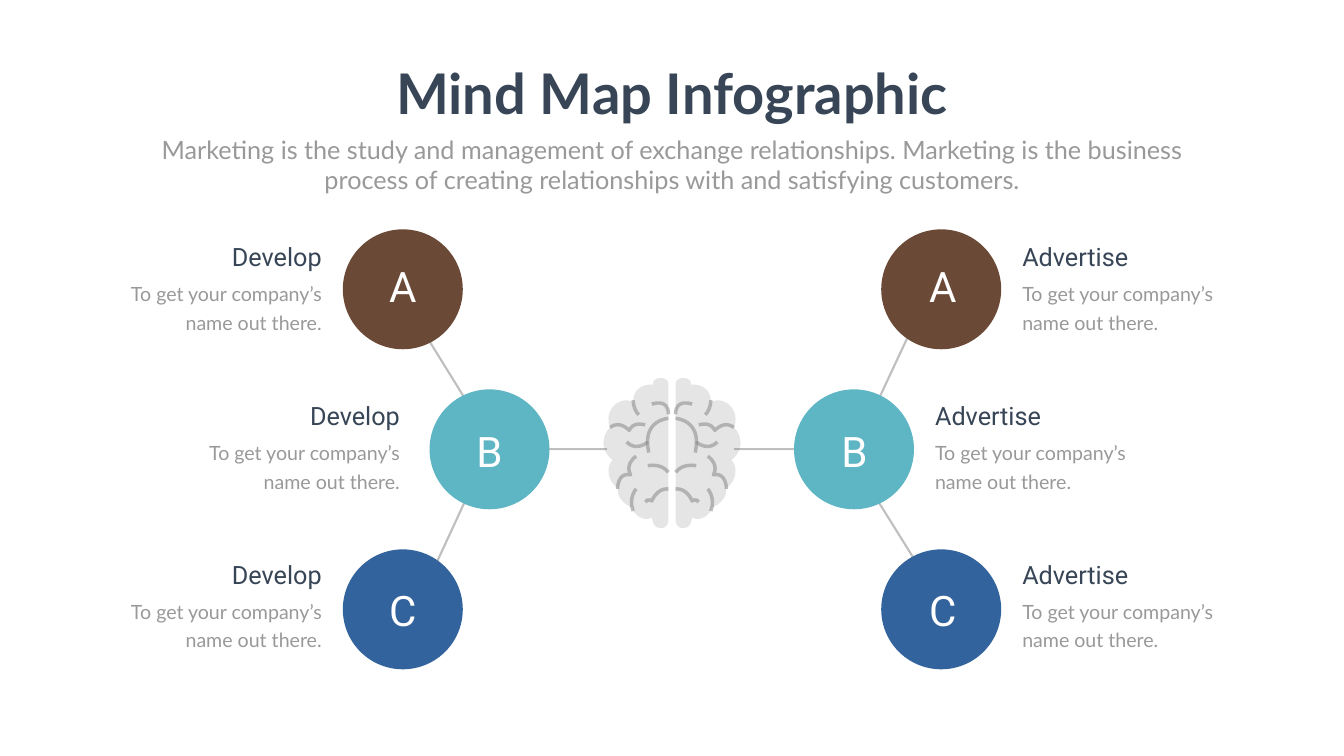
from dataclasses import dataclass

from lxml import etree
from pptx import Presentation
from pptx.dml.color import RGBColor
from pptx.enum.shapes import MSO_CONNECTOR, MSO_SHAPE
from pptx.enum.text import MSO_AUTO_SIZE, PP_ALIGN
from pptx.oxml.ns import qn
from pptx.util import Inches, Pt

STRAIGHT = MSO_CONNECTOR.STRAIGHT
OVAL = MSO_SHAPE.OVAL
LEFT, CENTER, RIGHT = PP_ALIGN.LEFT, PP_ALIGN.CENTER, PP_ALIGN.RIGHT
GROW = MSO_AUTO_SIZE.SHAPE_TO_FIT_TEXT

WIDTH, HEIGHT = 26.66, 15
AXIS = WIDTH / 2
BRAIN_TOP = HEIGHT / 2
BRAIN_UNIT = 0.01
DIAMETER = 2.38
CIRCLE_TOP, CIRCLE_PITCH = 4.55, 3.175
HEADING_TOP, HEADING_PITCH = 4.74, 3.15
HEADING_SIZE, BODY_SIZE = (3.98, 0.71), (4.33, 1.19)
LETTER_WIDTH = 1.44

GREY, NAVY, PALE, WHITE = "808080", "374556", "999999", "FFFFFF"
BODY = "To get your company’s name out there."
TITLE = "Mind Map Infographic"
SUBTITLE = ("Marketing is the study and management of exchange relationships. "
            "Marketing is the business process of creating relationships with "
            "and satisfying customers.")

TITLE_FONT = {"name": "Lato", "size": Pt(80), "bold": True}
SUBTITLE_FONT = {"name": "Lato", "size": Pt(36)}
LETTER_FONT = {"name": "Roboto", "size": Pt(60)}
HEADING_FONT = {"name": "Roboto", "size": Pt(36)}
BODY_FONT = {"name": "Lato", "size": Pt(28)}


@dataclass(frozen=True)
class Side:
    sign: int
    heading: str
    align: PP_ALIGN


@dataclass(frozen=True)
class Topic:
    side: Side
    row: int
    letter: str
    color: str
    circle_x: float
    letter_x: float
    letter_top: float
    letter_height: float
    text_edge: float


DEVELOP = Side(-1, "Develop", RIGHT)
ADVERTISE = Side(1, "Advertise", LEFT)
TOPICS = [
    Topic(ADVERTISE, 1, "B", "5EB5C3", 16.94, 16.95, 8.4, 1.04, 18.45),
    Topic(DEVELOP, 1, "B", "5EB5C3", 9.71, 9.71, 8.4, 1.11, 8.03),
    Topic(ADVERTISE, 0, "A", "6B4937", 18.67, 18.7, 5.11, 1.04, 20.18),
    Topic(ADVERTISE, 2, "C", "33639C", 18.67, 18.7, 11.54, 1.11, 20.18),
    Topic(DEVELOP, 0, "A", "6B4937", 7.99, 7.99, 5.11, 1.04, 6.48),
    Topic(DEVELOP, 2, "C", "33639C", 7.99, 7.99, 11.54, 1.11, 6.48),
]

LINKS = [
    (14.56, 8.91, 16.54, 8.91), (9.77, 8.91, 12.04, 8.91),
    (17.29, 8.22, 18.14, 6.4), (18.37, 11.47, 17.29, 9.74),
    (9.36, 9.65, 8.52, 11.47), (8.29, 6.4, 9.36, 8.13),
]

LOBE = [
    (7, 16), (7, 13, 7, 10, 7, 10), (9, 3, 15, 0, 22, 0), (33, 0, 38, 5, 38, 13),
    (40, 13, 43, 13, 43, 13), (61, 13, 77, 26, 77, 44), (77, 47, 77, 47, 77, 47),
    (82, 47, 84, 44, 90, 44), (110, 44, 126, 62, 126, 80),
    (126, 88, 126, 93, 123, 98), (131, 106, 136, 117, 136, 130),
    (136, 143, 128, 155, 118, 163), (123, 168, 126, 176, 126, 184),
    (126, 199, 118, 213, 108, 218), (108, 220),
    (108, 238, 95, 251, 79, 257), (77, 269, 64, 280, 48, 280),
    (46, 280, 43, 277, 40, 277), (38, 288, 35, 298, 22, 298),
    (7, 298, 7, 282, 7, 282), (7, 16),
]
FOLDS = [
    [(7, 80), (7, 80, 61, 83, 46, 148)],
    [(40, 52), (40, 52, 7, 39, 7, 72)],
    [(77, 44), (77, 44, 77, 62, 66, 73)],
    [(123, 98), (103, 83, 85, 104, 85, 104), (85, 104, 79, 86, 53, 93)],
    [(108, 220), (108, 220, 108, 186, 82, 192), (82, 192, 95, 173, 71, 155)],
    [(71, 220), (71, 220, 87, 238, 77, 264)],
    [(7, 220), (30, 218, 40, 244, 40, 244), (40, 244, 48, 238, 53, 246)],
    [(48, 127), (48, 127, 71, 147, 90, 127)],
    [(48, 174), (48, 174, 22, 168, 7, 187)],
]


def paint(fill, color: str, opacity: int = 100) -> None:
    fill.solid()
    fill.fore_color.rgb = RGBColor.from_string(color)
    if opacity < 100:
        clr = fill._xPr.find(qn("a:solidFill"))[0]
        etree.SubElement(clr, qn("a:alpha")).set("val", str(opacity * 1000))


def stroke(line, width: float) -> None:
    line.width = Pt(width)
    paint(line.fill, GREY, 50)


def add_link(s, x1: float, y1: float, x2: float, y2: float) -> None:
    c = s.shapes.add_connector(STRAIGHT, *map(Inches, (x1, y1, x2, y2)))
    stroke(c.line, 3)
    etree.SubElement(c._element.spPr, qn("a:effectLst"))


def add_circle(s, topic: Topic) -> None:
    top = CIRCLE_TOP + topic.row * CIRCLE_PITCH
    box = (topic.circle_x - DIAMETER / 2, top, DIAMETER, DIAMETER)
    sp = s.shapes.add_shape(OVAL, *map(Inches, box))
    sp.shadow.inherit = False
    paint(sp.fill, topic.color)
    sp.line.fill.background()


def add_text(s, text: str, x: float, y: float, w: float, h: float, font: dict,
             color: str, align: PP_ALIGN, spacing=None, wrap: bool = True) -> None:
    tf = s.shapes.add_textbox(*map(Inches, (x, y, w, h))).text_frame
    tf.word_wrap = wrap
    tf.auto_size = GROW
    p = tf.paragraphs[0]
    p.alignment = align
    p.line_spacing = spacing
    r = p.add_run()
    r.text = text
    for name, value in font.items():
        setattr(r.font, name, value)
    paint(r.font.fill, color)


def bend(sp, outline: list[tuple]) -> None:
    lines = iter(list(sp._element.iter(qn("a:lnTo"))))
    for step in outline:
        first = next(lines)
        if len(step) == 6:
            first.tag = qn("a:cubicBezTo")
            for _ in range(2):
                extra = next(lines)
                first.append(extra[0])
                extra.getparent().remove(extra)


def add_brain_part(s, outline: list[tuple], sign: int, filled: bool) -> None:
    points = [(Inches(AXIS + sign * step[i] * BRAIN_UNIT),
               Inches(BRAIN_TOP + step[i + 1] * BRAIN_UNIT))
              for step in outline for i in range(0, len(step), 2)]
    fb = s.shapes.build_freeform(*points[0])
    fb.add_line_segments(points, close=False)
    sp = fb.convert_to_shape()
    bend(sp, outline)
    sp.shadow.inherit = False
    if filled:
        paint(sp.fill, GREY, 20)
        sp.line.fill.background()
    else:
        sp.fill.background()
        stroke(sp.line, 5)


def add_letter(s, topic: Topic) -> None:
    add_text(s, topic.letter, topic.letter_x - LETTER_WIDTH / 2, topic.letter_top,
             LETTER_WIDTH, topic.letter_height, LETTER_FONT, WHITE, CENTER)


def add_label(s, topic: Topic) -> None:
    side = topic.side
    top = HEADING_TOP + topic.row * HEADING_PITCH
    for text, (w, h), y, font, color, spacing in (
        (BODY, BODY_SIZE, top + HEADING_SIZE[1], BODY_FONT, PALE, Pt(40.8)),
        (side.heading, HEADING_SIZE, top, HEADING_FONT, NAVY, None),
    ):
        x = topic.text_edge - w if side.sign < 0 else topic.text_edge
        add_text(s, text, x, y, w, h, font, color, side.align, spacing)


def main() -> None:
    prs = Presentation()
    prs.slide_width, prs.slide_height = Inches(WIDTH), Inches(HEIGHT)
    s = prs.slides.add_slide(prs.slide_layouts[6])
    paint(s.background.fill, "FEFFFE")
    for link in LINKS:
        add_link(s, *link)
    for topic in TOPICS:
        add_circle(s, topic)
    for side in (DEVELOP, ADVERTISE):
        add_brain_part(s, LOBE, side.sign, True)
    for side in (DEVELOP, ADVERTISE):
        for fold in FOLDS:
            add_brain_part(s, fold, side.sign, False)
    for draw in (add_letter, add_label):
        for topic in TOPICS:
            draw(s, topic)
    add_text(s, TITLE, AXIS - 5.64, 1.12, 11.28, 1.45, TITLE_FONT, NAVY, CENTER, wrap=False)
    add_text(s, SUBTITLE, AXIS - 10.41, 2.61, 20.82, 1.31, SUBTITLE_FONT, PALE, CENTER)
    prs.save("out.pptx")


if __name__ == "__main__":
    main()
